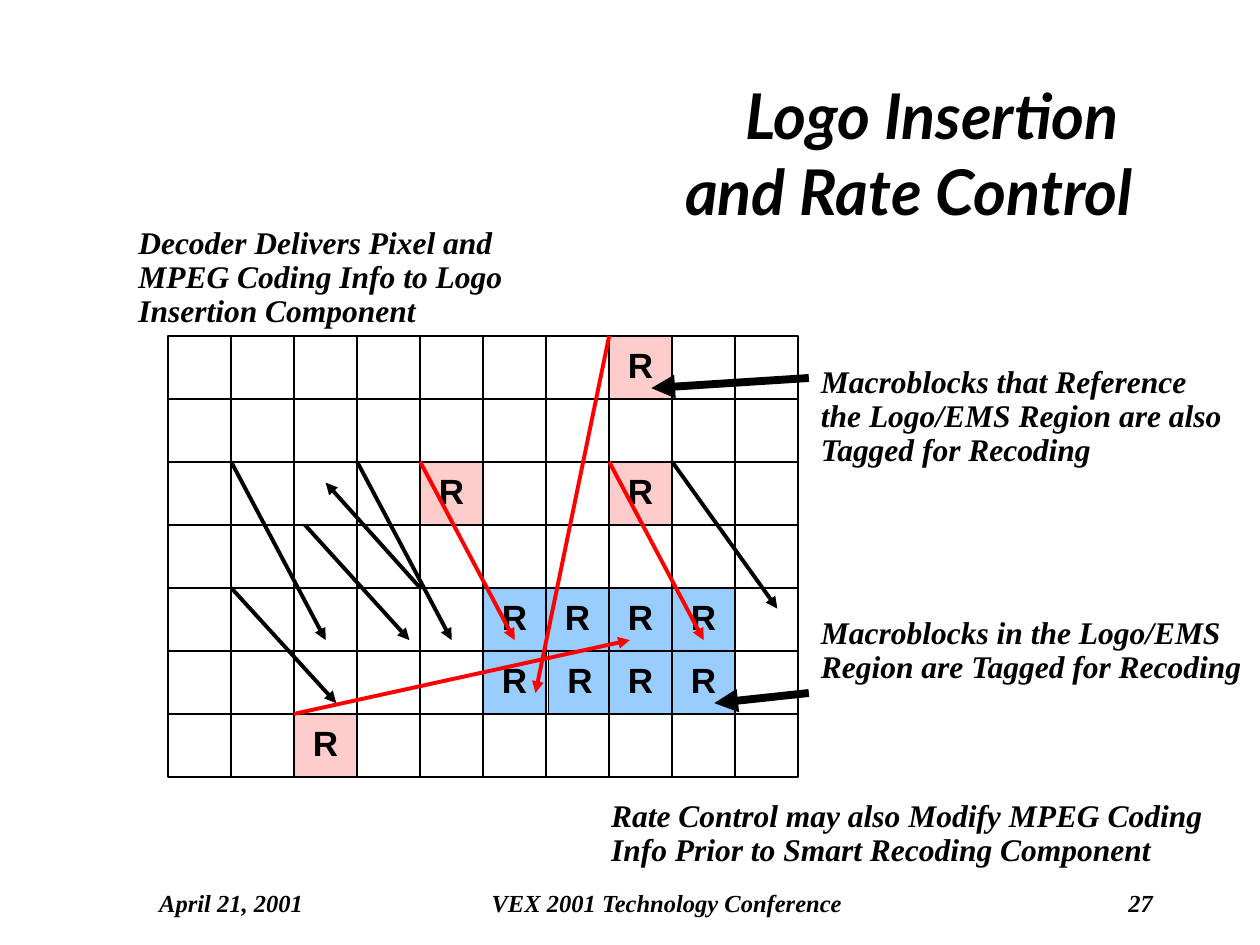
from dataclasses import dataclass
from itertools import product

from lxml.etree import SubElement
from pptx import Presentation
from pptx.dml.color import RGBColor
from pptx.enum.shapes import MSO_CONNECTOR, MSO_SHAPE
from pptx.enum.text import MSO_ANCHOR, MSO_AUTO_SIZE, PP_ALIGN
from pptx.oxml.ns import qn
from pptx.util import Cm, Pt

HUES = {"black": "000000", "white": "FFFFFF", "red": "FF0000",
        "pink": "FFCCCC", "blue": "99CCFF"}
LEFT, TOP, SIDE = 3.39, 6.77, 1.27
COLS, ROWS = 10, 7
PINK = {(7, 0), (4, 2), (7, 2), (2, 6)}
BLUE = set(product(range(5, 9), range(4, 6)))
NUDGE = {(6, 5): 0.05}
SERIF = "Times New Roman"


@dataclass
class Arrow:
    start: tuple[float, float]
    end: tuple[float, float]
    hue: str = "black"
    width: float = 2.25


@dataclass
class Label:
    text: str
    left: float
    top: float
    width: float
    height: float
    size: int = 18
    align: PP_ALIGN = PP_ALIGN.LEFT
    note: bool = True


ARROWS = [
    Arrow((1, 2), (2.5, 4.83)),
    Arrow((2.17, 3), (3.83, 4.83)),
    Arrow((3, 2), (4.5, 4.83)),
    Arrow((4, 2), (5.5, 4.83), "red"),
    Arrow((2, 6), (7.33, 4.83), "red"),
    Arrow((7, 0), (5.83, 5.67), "red"),
    Arrow((7, 2), (8.5, 4.83), "red"),
    Arrow((8, 2), (9.67, 4.33)),
    Arrow((1, 4), (2.67, 5.83)),
    Arrow((4, 4), (2.5, 2.33)),
    Arrow((10.17, 5.67), (8.67, 5.83), width=4.5),
    Arrow((10.17, 0.67), (7.67, 0.83), width=4.5),
]

LABELS = [
    Label("Macroblocks in the Logo/EMS Region are Tagged for Recoding",
          16.3, 12.32, 9.1, 1.63),
    Label("Macroblocks that Reference the Logo/EMS Region are also Tagged for Recoding",
          16.3, 7.26, 8.71, 2.31),
    Label("Decoder Delivers Pixel and MPEG Coding Info to Logo Insertion Component",
          2.54, 4.45, 8.71, 2.31),
    Label("Rate Control may also Modify MPEG Coding Info Prior to Smart Recoding Component",
          12.07, 16, 12.5, 1.63),
    Label("VEX 2001 Technology Conference", 8.26, 17.78, 10.37, 0.85,
          14, PP_ALIGN.CENTER, False),
    Label("27", 18.2, 17.78, 5.29, 1.27, 14, PP_ALIGN.RIGHT, False),
    Label("April 21, 2001", 2.96, 17.78, 4.23, 1.27, 14, note=False),
]


def shade(name: str) -> RGBColor:
    return RGBColor.from_string(HUES[name])


def style(frame, face: str, size: int, align: PP_ALIGN, slant: bool = True) -> None:
    for para in frame.paragraphs:
        para.alignment = align
        for run in para.runs:
            font = run.font
            font.name, font.size = face, Pt(size)
            font.bold, font.italic = True, slant
            font.color.rgb = shade("black")


def draw_cell(slide, col: int, row: int) -> None:
    spot = (col, row)
    fill = "pink" if spot in PINK else "blue" if spot in BLUE else "white"
    left = LEFT + col * SIDE + NUDGE.get(spot, 0)
    cell = slide.shapes.add_shape(MSO_SHAPE.RECTANGLE, Cm(left), Cm(TOP + row * SIDE),
                                  Cm(SIDE), Cm(SIDE))
    cell.shadow.inherit = False
    cell.fill.solid()
    cell.fill.fore_color.rgb = shade(fill)
    cell.line.color.rgb = shade("black")
    cell.line.width = Pt(1)
    if fill != "white":
        frame = cell.text_frame
        frame.text = "R"
        frame.word_wrap = False
        frame.vertical_anchor = MSO_ANCHOR.MIDDLE
        frame.paragraphs[0].line_spacing = 0.9
        style(frame, "Arial", 20, PP_ALIGN.CENTER, False)


def draw_arrow(slide, arrow: Arrow) -> None:
    ends = [Cm(base + step * SIDE)
            for point in (arrow.start, arrow.end)
            for base, step in zip((LEFT, TOP), point)]
    line = slide.shapes.add_connector(MSO_CONNECTOR.STRAIGHT, *ends)
    line.line.color.rgb = shade(arrow.hue)
    line.line.width = Pt(arrow.width)
    props = line._element.spPr
    SubElement(props.find(qn("a:ln")), qn("a:tailEnd"), type="triangle")
    SubElement(props, qn("a:effectLst"))


def draw_label(slide, label: Label) -> None:
    box = slide.shapes.add_textbox(Cm(label.left), Cm(label.top),
                                   Cm(label.width), Cm(label.height))
    frame = box.text_frame
    frame.text = label.text
    frame.word_wrap = True
    if label.note:
        frame.auto_size = MSO_AUTO_SIZE.SHAPE_TO_FIT_TEXT
        frame.vertical_anchor = MSO_ANCHOR.MIDDLE
        frame.paragraphs[0].line_spacing = 0.9
    style(frame, SERIF, label.size, label.align)


def draw_title(slide) -> None:
    title = slide.shapes.title
    title.left, title.top = Cm(3.39), Cm(1.48)
    title.width, title.height = Cm(19.7), Cm(3.18)
    frame = title.text_frame
    frame.text = "Logo Insertion \vand Rate Control"
    frame.auto_size = MSO_AUTO_SIZE.NONE
    frame.vertical_anchor = MSO_ANCHOR.MIDDLE
    style(frame, "Lato", 36, PP_ALIGN.RIGHT)


def main() -> None:
    deck = Presentation()
    deck.slide_width, deck.slide_height = Cm(25.4), Cm(19.05)
    slide = deck.slides.add_slide(deck.slide_layouts[5])
    draw_title(slide)
    for row, col in product(range(ROWS), range(COLS)):
        draw_cell(slide, col, row)
    for arrow in ARROWS:
        draw_arrow(slide, arrow)
    for label in LABELS:
        draw_label(slide, label)
    deck.save("out.pptx")


if __name__ == "__main__":
    main()
